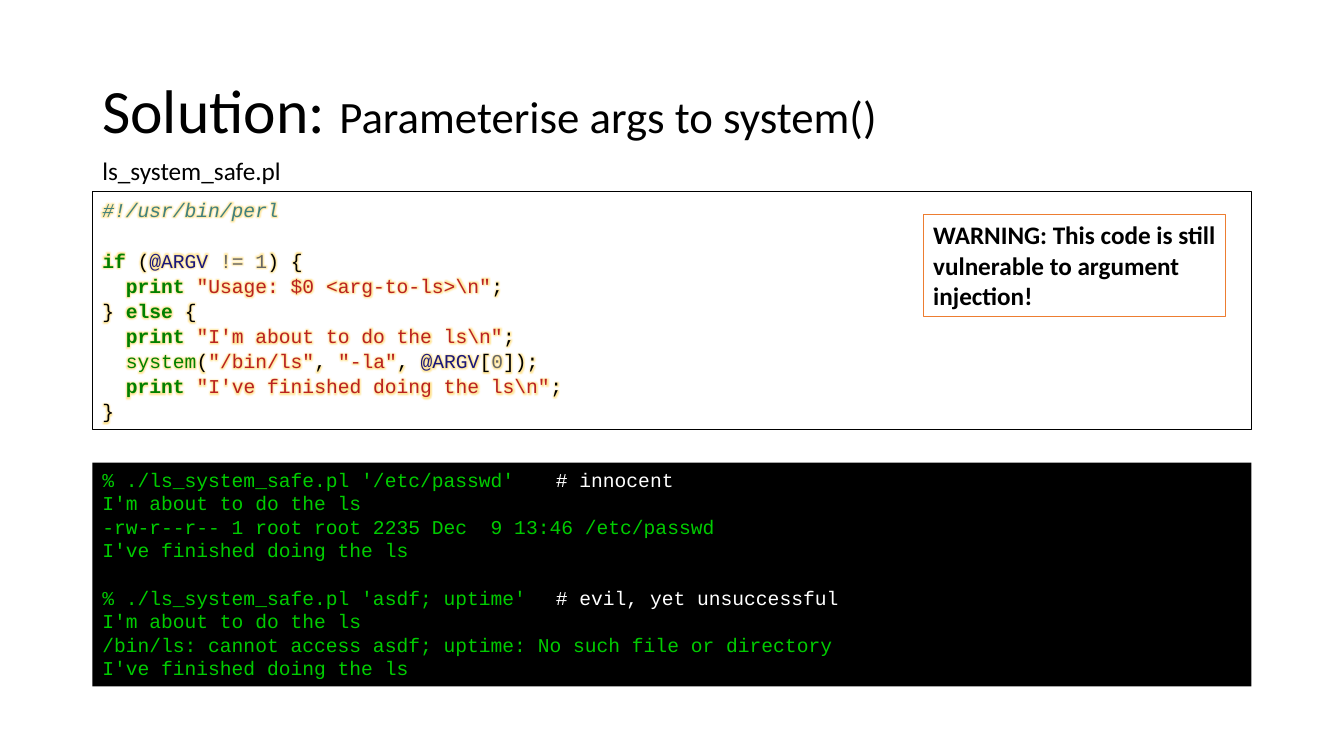
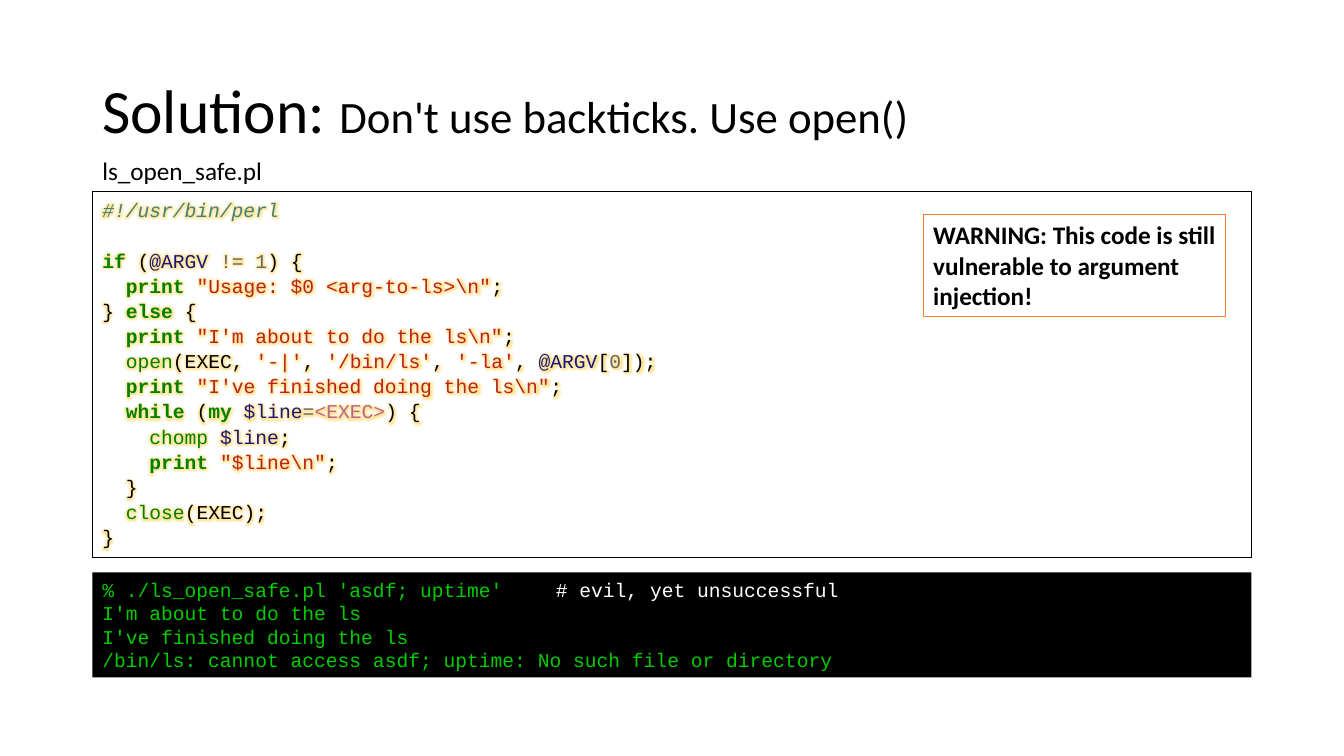
from lxml import etree
from pptx import Presentation
from pptx.dml.color import RGBColor as Rgb
from pptx.enum.shapes import MSO_SHAPE as Shape
from pptx.enum.text import MSO_ANCHOR as Anchor
from pptx.oxml.ns import qn
from pptx.util import Inches, Pt

# Grid: 160 columns by 90 rows, square cells
CELL = Inches(7.5) / 90
LEFT, WIDTH = 11, 138
CODE_TOP = 22.8

COLOURS = {
    "black": "000000", "white": "FFFFFF", "orange": "ED7D31",
    "glow": "FFC000", "shell": "00CC00", "remark": "FFFFFF",
    "plain": "000000", "comment": "408080", "keyword": "008000",
    "builtin": "008000", "variable": "19177C", "number": "666666",
    "string": "BA2121", "handle": "BB6688",
}
SANS, MONO = "Calibri", "Courier New"
CODE_SIZE = 14
CODE_INDENT = Pt(16.8)  # two characters of code


def grid(*cells):
    return [round(cell * CELL) for cell in cells]


def rgb(name):
    return Rgb.from_string(COLOURS[name])


# Text
def add_span(para, text, size, font, colour="black", bold=False, italic=False):
    span = para.add_run()
    span.text = text
    span.font.size = Pt(size)
    span.font.name = font
    span.font.bold = bold
    span.font.italic = italic
    span.font.color.rgb = rgb(colour)
    return span


def add_glow(span):
    effects = etree.Element(qn("a:effectLst"))
    glow = etree.SubElement(effects, qn("a:glow"), rad=str(Pt(5)))
    colour = etree.SubElement(glow, qn("a:srgbClr"), val=COLOURS["glow"])
    etree.SubElement(colour, qn("a:alpha"), val="40000")
    span.font.fill  # the effect follows the fill in the run properties
    properties = span.font._element
    properties.find(qn("a:solidFill")).addnext(effects)


def next_para(frame, index):
    return frame.add_paragraph() if index else frame.paragraphs[0]


# Boxes
def add_label(page, top, height):
    box = page.shapes.add_textbox(*grid(LEFT, top, WIDTH, height))
    box.text_frame.word_wrap = True
    return box.text_frame


def add_panel(page, cells, fill, line=None, weight=1):
    box = page.shapes.add_shape(Shape.RECTANGLE, *grid(*cells))
    box.shadow.inherit = False
    box.fill.solid()
    box.fill.fore_color.rgb = rgb(fill)
    if line:
        box.line.color.rgb = rgb(line)
        box.line.width = Pt(weight)
    else:
        box.line.fill.background()
    frame = box.text_frame
    frame.word_wrap = True
    frame.vertical_anchor = Anchor.TOP
    frame.paragraphs[0].alignment = 1
    return frame


def add_title(page, subject):
    frame = add_label(page, 4.8, 17.4)
    frame.vertical_anchor = Anchor.MIDDLE
    para = frame.paragraphs[0]
    para.line_spacing = 0.9
    add_span(para, "Solution: ", 44, SANS)
    add_span(para, subject, 32, SANS)


def add_terminal(page, top, height, sessions):
    frame = add_panel(page, (LEFT, top, WIDTH, height), "black")
    count = 0
    for session in sessions:
        for row, line in enumerate(session):
            para = next_para(frame, count)
            para.alignment = 1
            if count and row == 0:
                para.space_before = Pt(16.9)
            for kind, text in line:
                add_span(para, text, CODE_SIZE, MONO, kind)
            count += 1


def add_code(page, height, lines):
    frame = add_panel(page, (LEFT, CODE_TOP, WIDTH, height),
                      "white", "black", 0.75)
    for index, (level, *tokens) in enumerate(lines):
        para = next_para(frame, index)
        para.alignment = 1
        para.line_spacing = 1.07
        if index == 1:
            para.space_before = Pt(18)
        para._p.get_or_add_pPr().set("marL", str(level * CODE_INDENT))
        for kind, text in tokens:
            span = add_span(para, text, CODE_SIZE, MONO, kind,
                            kind == "keyword", kind == "comment")
            add_glow(span)


def add_warning(page):
    frame = add_panel(page, (109.92, 25.56, 36, 12.12), "white", "orange")
    add_span(frame.paragraphs[0],
             "WARNING: This code is still vulnerable to argument injection!",
             18, SANS, bold=True)


# Lines of code and of terminal output
def plain(text):
    return "plain", text


def string(text):
    return "string", text


def print_line(level, text):
    return level, ("keyword", "print "), string(f'"{text}"'), plain(";")


def call_line(name, opening, arguments):
    tokens = [("builtin", name), plain(opening)]
    for argument in arguments:
        tokens += [string(argument), plain(", ")]
    return (1, *tokens, ("variable", "@ARGV"), plain("["), ("number", "0"),
            plain("]);"))


def program(call, rest=()):
    return [
        (0, ("comment", "#!/usr/bin/perl")),
        (0, ("keyword", "if"), plain(" ("), ("variable", "@ARGV "),
         ("number", "!= 1"), plain(") {")),
        print_line(1, "Usage: $0 <arg-to-ls>\\n"),
        (0, plain("} "), ("keyword", "else"), plain(" {")),
        print_line(1, "I'm about to do the ls\\n"),
        call,
        print_line(1, "I've finished doing the ls\\n"),
        *rest,
        (0, plain("}")),
    ]


def session(command, remark, *output):
    first = [("shell", command), ("remark", remark)]
    return [first] + [[("shell", text)] for text in output]


START, FINISH = "I'm about to do the ls", "I've finished doing the ls"
EVIL = "# evil, yet unsuccessful"
REFUSED = "/bin/ls: cannot access asdf; uptime: No such file or directory"

READ_LOOP = [
    (1, ("keyword", "while"), plain(" ("), ("keyword", "my "),
     ("variable", "$line"), ("number", "="), ("handle", "<EXEC>"),
     plain(") {")),
    (2, ("builtin", "chomp "), ("variable", "$line"), plain(";")),
    print_line(2, "$line\\n"),
    (1, plain("}")),
    (1, ("builtin", "close"), plain("(EXEC);")),
]

SOLUTIONS = [
    {
        "subject": "Parameterise args to system()",
        "file": "ls_system_safe.pl",
        "code": (28.32, program(
            call_line("system", "(", ['"/bin/ls"', '"-la"']))),
        "terminal": (55.08, 26.64, [
            session("% ./ls_system_safe.pl '/etc/passwd'\t", "# innocent",
                    START,
                    "-rw-r--r-- 1 root root 2235 Dec  9 13:46 /etc/passwd",
                    FINISH),
            session("% ./ls_system_safe.pl 'asdf; uptime'\t", EVIL,
                    START, REFUSED, FINISH),
        ]),
    },
    {
        "subject": "Don't use backticks. Use open()",
        "file": "ls_open_safe.pl",
        "code": (43.56, program(
            call_line("open", "(EXEC, ", ["'-|'", "'/bin/ls'", "'-la'"]),
            READ_LOOP)),
        "terminal": (68.16, 12.48, [
            session("% ./ls_open_safe.pl 'asdf; uptime'\t\t", EVIL,
                    START, FINISH, REFUSED),
        ]),
    },
]


def main():
    deck = Presentation()
    deck.slide_width, deck.slide_height = grid(160, 90)
    for solution in SOLUTIONS:
        page = deck.slides.add_slide(deck.slide_layouts[6])
        add_title(page, solution["subject"])
        add_terminal(page, *solution["terminal"])
        add_code(page, *solution["code"])
        name = add_label(page, 17.88, 4.8)
        add_span(name.paragraphs[0], solution["file"], 18, SANS)
        add_warning(page)
    deck.save("out.pptx")


main()
